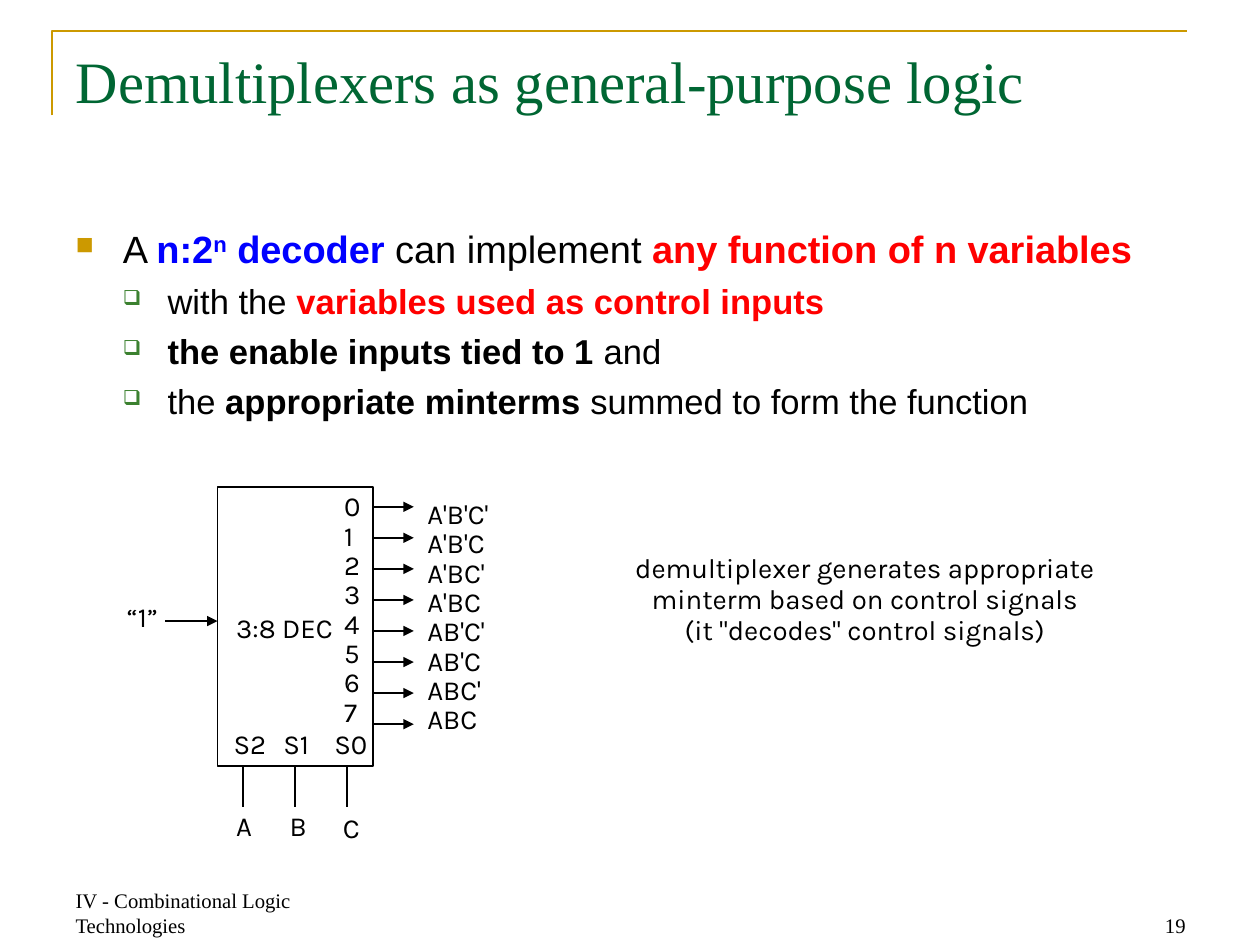
from dataclasses import dataclass

from lxml import etree
from pptx import Presentation
from pptx import util as u
from pptx.dml.color import RGBColor
from pptx.enum import shapes, text
from pptx.oxml import ns

BLACK = RGBColor(0x00, 0x00, 0x00)
BLUE = RGBColor(0x00, 0x00, 0xFF)
RED = RGBColor(0xFF, 0x00, 0x00)
GREEN = RGBColor(0x00, 0x66, 0x33)
GOLD = RGBColor(0xCC, 0x99, 0x00)
LEAF = RGBColor(0x3B, 0x81, 0x2F)
SERIF, SANS, LABEL = "Times New Roman", "Arial", "Karla"
LEFT, CENTER, RIGHT = text.PP_ALIGN.LEFT, text.PP_ALIGN.CENTER, text.PP_ALIGN.RIGHT

BLOCK_LEFT, BLOCK_TOP, BLOCK_WIDTH, BLOCK_HEIGHT = 1.75, 3.92, 1.25, 2.25
BLOCK_RIGHT = BLOCK_LEFT + BLOCK_WIDTH
BLOCK_BOTTOM = BLOCK_TOP + BLOCK_HEIGHT
BLOCK_CENTER = BLOCK_LEFT + BLOCK_WIDTH / 2
OUTPUT_COUNT = 8
FIRST_OUTPUT, OUTPUT_PITCH = 4.08, 0.25
SELECT_PITCH, PIN_LENGTH = 0.42, 0.33


@dataclass(frozen=True)
class Label:
    words: str
    left: float
    top: float
    width: float
    height: float
    align: text.PP_ALIGN = LEFT
    spacing: int = 17


@dataclass(frozen=True)
class Footer:
    words: str
    left: float
    align: text.PP_ALIGN


@dataclass(frozen=True)
class Piece:
    words: str
    color: RGBColor = BLACK
    bold: bool = False
    superscript: bool = False


@dataclass(frozen=True)
class Level:
    size: int
    margin: float
    indent: float
    bullet: str
    bullet_color: RGBColor
    bullet_percent: int


MAIN = Level(22, 0.38, -0.38, "■", GOLD, 65)
SUB = Level(20, 0.74, -0.36, "❑", LEAF, 60)

BULLETS = [
    (MAIN, [Piece("A "), Piece("n:2", BLUE, True), Piece("n", BLUE, True, True),
            Piece(" decoder ", BLUE, True), Piece("can implement "),
            Piece("any function of n variables", RED, True)]),
    (SUB, [Piece("with the "), Piece("variables used as control inputs", RED, True)]),
    (SUB, [Piece("the enable inputs tied to 1 ", bold=True), Piece("and")]),
    (SUB, [Piece("the "), Piece("appropriate minterms ", bold=True),
           Piece("summed to form the function")]),
]

LABELS = [
    Label("demultiplexer generates appropriate\nminterm based on control signals\n"
          "(it \"decodes\" control signals)", 4.75, 4.42, 4.42, 0.92, CENTER, 18),
    Label("A'B'C'\nA'B'C\nA'BC'\nA'BC\nAB'C'\nAB'C\nABC'\nABC", 3.42, 4, 0.65, 2.18),
    Label("\n".join(str(index) for index in range(OUTPUT_COUNT)), 2.75, 3.94, 0.18, 2.31),
    Label("3:8 DEC", 1.67, 4.92, 1.24, 0.65, CENTER),
    Label("“1”", 1, 4.83, 0.58, 0.65),
    Label("S2", 1.86, 5.85, 0.71, 0.65),
    Label("S1", 2.26, 5.85, 0.71, 0.65),
    Label("S0", 2.67, 5.85, 0.71, 0.65),
    Label("A", 1.88, 6.51, 0.61, 0.31),
    Label("B", 2.31, 6.51, 0.61, 0.31),
    Label("C", 2.74, 6.53, 0.61, 0.31),
]

FOOTERS = [
    Footer("IV - Combinational Logic Technologies", 0.51, LEFT),
    Footer("19", 7.27, RIGHT),
]


def set_font(font, name: str, size: int, color: RGBColor) -> None:
    font.name = name
    font.size = u.Pt(size)
    font.color.rgb = color


def add_text_frame(slide, left: float, top: float, width: float, height: float):
    box = slide.shapes.add_textbox(
        u.Inches(left), u.Inches(top), u.Inches(width), u.Inches(height))
    box.text_frame.word_wrap = True
    return box.text_frame


def add_label(slide, label: Label) -> None:
    frame = add_text_frame(slide, label.left, label.top, label.width, label.height)
    frame.margin_left = frame.margin_right = u.Inches(0.02)
    frame.margin_top = frame.margin_bottom = u.Inches(0.03)
    paragraph = frame.paragraphs[0]
    paragraph.text = label.words
    paragraph.alignment = label.align
    paragraph.line_spacing = u.Pt(label.spacing)
    set_font(paragraph.font, LABEL, 16, BLACK)


def add_footer(slide, footer: Footer) -> None:
    frame = add_text_frame(slide, footer.left, 7.09, 2.37, 0.51)
    frame.vertical_anchor = text.MSO_ANCHOR.BOTTOM
    paragraph = frame.paragraphs[0]
    paragraph.text = footer.words
    paragraph.alignment = footer.align
    set_font(paragraph.font, SERIF, 12, BLACK)


def set_bullet(paragraph, level: Level) -> None:
    properties = paragraph._p.get_or_add_pPr()
    properties.set("marL", str(u.Inches(level.margin)))
    properties.set("indent", str(u.Inches(level.indent)))
    color = etree.SubElement(properties, ns.qn("a:buClr"))
    etree.SubElement(color, ns.qn("a:srgbClr"), val=str(level.bullet_color))
    etree.SubElement(properties, ns.qn("a:buSzPct"), val=str(level.bullet_percent * 1000))
    etree.SubElement(properties, ns.qn("a:buChar"), char=level.bullet)


def add_bullets(slide) -> None:
    frame = add_text_frame(slide, 0.51, 1.77, 9.12, 5.02)
    for index, (level, pieces) in enumerate(BULLETS):
        paragraph = frame.add_paragraph() if index else frame.paragraphs[0]
        paragraph.space_before = u.Pt(5)
        set_bullet(paragraph, level)
        for piece in pieces:
            run = paragraph.add_run()
            run.text = piece.words
            set_font(run.font, SANS, level.size, piece.color)
            run.font.bold = piece.bold
            if piece.superscript:
                run._r.get_or_add_rPr().set("baseline", "30000")


def add_wire(slide, start: tuple[float, float], end: tuple[float, float], arrow: bool):
    wire = slide.shapes.add_connector(
        shapes.MSO_CONNECTOR.STRAIGHT, *(u.Inches(value) for value in start + end))
    wire.line.color.rgb = BLACK
    wire.line.width = u.Pt(1)
    if arrow:
        etree.SubElement(wire.line._get_or_add_ln(), ns.qn("a:tailEnd"), type="triangle")
    etree.SubElement(wire._element.spPr, ns.qn("a:effectLst"))
    return wire


def add_decoder(slide) -> None:
    block = slide.shapes.add_shape(
        shapes.MSO_SHAPE.RECTANGLE, u.Inches(BLOCK_LEFT), u.Inches(BLOCK_TOP),
        u.Inches(BLOCK_WIDTH), u.Inches(BLOCK_HEIGHT))
    block.shadow.inherit = False
    block.fill.background()
    block.line.color.rgb = BLACK
    block.line.width = u.Pt(1)
    add_wire(slide, (1.33, 5), (BLOCK_LEFT, 5), True)
    for index in range(OUTPUT_COUNT):
        y = FIRST_OUTPUT + index * OUTPUT_PITCH
        add_wire(slide, (BLOCK_RIGHT, y), (BLOCK_RIGHT + PIN_LENGTH, y), True)
    for offset in (-1, 0, 1):
        x = BLOCK_CENTER + offset * SELECT_PITCH
        wire = add_wire(slide, (x, BLOCK_BOTTOM), (x, BLOCK_BOTTOM + PIN_LENGTH), False)
        if offset == 0:
            wire.begin_connect(block, 2)


def add_title(slide) -> None:
    title = slide.shapes.title
    title.left, title.top = u.Inches(0.51), u.Inches(0.31)
    title.width, title.height = u.Inches(9.12), u.Inches(1.26)
    title.text_frame.vertical_anchor = text.MSO_ANCHOR.TOP
    paragraph = title.text_frame.paragraphs[0]
    paragraph.text = "Demultiplexers as general-purpose logic"
    paragraph.alignment = LEFT
    set_font(paragraph.font, SERIF, 34, GREEN)


def add_corner_rule(slide) -> None:
    builder = slide.shapes.build_freeform(u.Inches(0.42), u.Inches(0.93))
    builder.add_line_segments(
        [(u.Inches(0.42), u.Inches(0.25)), (u.Inches(9.55), u.Inches(0.25))], close=False)
    rule = builder.convert_to_shape()
    rule.shadow.inherit = False
    rule.fill.background()
    rule.line.color.rgb = GOLD
    rule.line.width = u.Pt(1.5)


def main() -> None:
    presentation = Presentation()
    presentation.slide_width = u.Inches(10.14)
    presentation.slide_height = u.Inches(7.6)
    slide = presentation.slides.add_slide(presentation.slide_layouts[5])
    add_corner_rule(slide)
    add_title(slide)
    add_bullets(slide)
    add_decoder(slide)
    for label in LABELS:
        add_label(slide, label)
    for footer in FOOTERS:
        add_footer(slide, footer)
    presentation.save("out.pptx")


if __name__ == "__main__":
    main()
